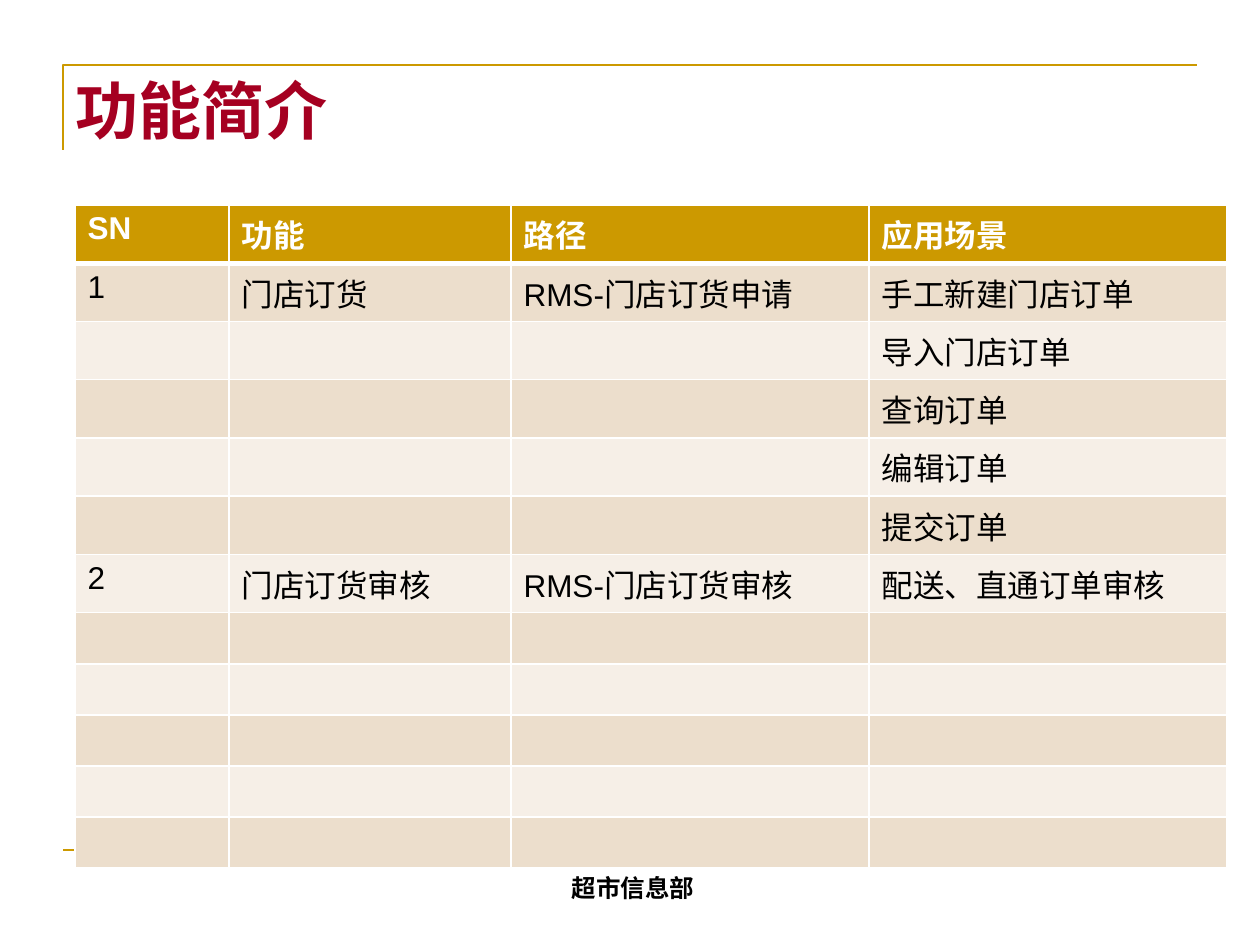
from lxml.etree import SubElement
from pptx import Presentation
from pptx.dml.color import RGBColor
from pptx.enum.shapes import MSO_CONNECTOR
from pptx.enum.text import MSO_ANCHOR, PP_ALIGN
from pptx.oxml import parse_xml
from pptx.oxml.ns import nsdecls, qn
from pptx.util import Pt

TITLE = "功能简介"
FOOTER = "超市信息部"
HEAD = ["SN", "功能", "路径", "应用场景"]
ROWS = [
    ["1", "门店订货", "RMS-门店订货申请", "手工新建门店订单"],
    ["", "", "", "导入门店订单"],
    ["", "", "", "查询订单"],
    ["", "", "", "编辑订单"],
    ["", "", "", "提交订单"],
    ["2", "门店订货审核", "RMS-门店订货审核", "配送、直通订单审核"],
] + [[""] * 4] * 5
COLS = [154, 282, 358, 358]
ROW = 51
GOLD, RED, BLACK, WHITE = "CC9900", "A50021", "000000", "FFFFFF"
BANDS = ["ECDECC", "F6EFE7"]
CJK = "Noto Sans CJK SC"


def px(n):
    return n * 914400 // 126


def rgb(code):
    return RGBColor.from_string(code)


def style(para, size, color, bold, face=CJK):
    for run in para.runs:
        font = run.font
        font.size, font.bold, font.name = Pt(size), bold, face
        font.color.rgb = rgb(color)
        SubElement(run._r.rPr, qn("a:ea")).set("typeface", CJK)


def rule(shape):
    shape.line.color.rgb = rgb(GOLD)
    shape.line.width = Pt(1.5)


def edge(cell, base):
    """Draw white borders, with the bottom one of the given width."""
    props = cell._tc.get_or_add_tcPr()
    for i, side in enumerate("LRTB"):
        width = Pt(base if side == "B" else 1)
        props.insert(i, parse_xml(
            f'<a:ln{side} {nsdecls("a")} w="{width}"><a:solidFill>'
            f'<a:srgbClr val="{WHITE}"/></a:solidFill></a:ln{side}>'))


prs = Presentation()
prs.slide_width, prs.slide_height = px(1260), px(945)
slide = prs.slides.add_slide(prs.slide_layouts[5])
shapes = slide.shapes
title = shapes.title

# Frame lines
build = shapes.build_freeform(px(63), px(150))
build.add_line_segments([(px(63), px(65)), (px(1197), px(65))], close=False)
corner = build.convert_to_shape()
corner.shadow.inherit = False
corner.fill.background()
rule(corner)
base = shapes.add_connector(MSO_CONNECTOR.STRAIGHT,
                            px(63), px(850), px(1197), px(850))
rule(base)
SubElement(base._element.spPr, qn("a:effectLst"))

# Footer
foot = shapes.add_textbox(px(433), px(867), px(400), px(53)).text_frame
foot.word_wrap = True
foot.text = FOOTER
foot.paragraphs[0].alignment = PP_ALIGN.CENTER
style(foot.paragraphs[0], 14, BLACK, True)

# Title, in front of the frame
shapes._spTree.append(title._element)
title.left, title.top = px(63), px(65)
title.width, title.height = px(1134), px(158)
frame = title.text_frame
frame.text = TITLE
frame.vertical_anchor = MSO_ANCHOR.TOP
frame.paragraphs[0].alignment = PP_ALIGN.LEFT
style(frame.paragraphs[0], 36, RED, True)

# Table
data = [HEAD] + ROWS
table = shapes.add_table(len(data), len(COLS), px(75), px(205),
                         px(sum(COLS)), px(ROW * len(data))).table
for col, width in zip(table.columns, COLS):
    col.width = px(width)
for r, line in enumerate(data):
    table.rows[r].height = px(ROW)
    top = r == 0
    for c, text in enumerate(line):
        cell = table.cell(r, c)
        cell.fill.solid()
        cell.fill.fore_color.rgb = rgb(GOLD if top else BANDS[(r - 1) % 2])
        edge(cell, 3 if top else 1)
        if text:
            cell.text_frame.text = text
            style(cell.text_frame.paragraphs[0], 18,
                  WHITE if top else BLACK, top, "Arial")

prs.save("out.pptx")
